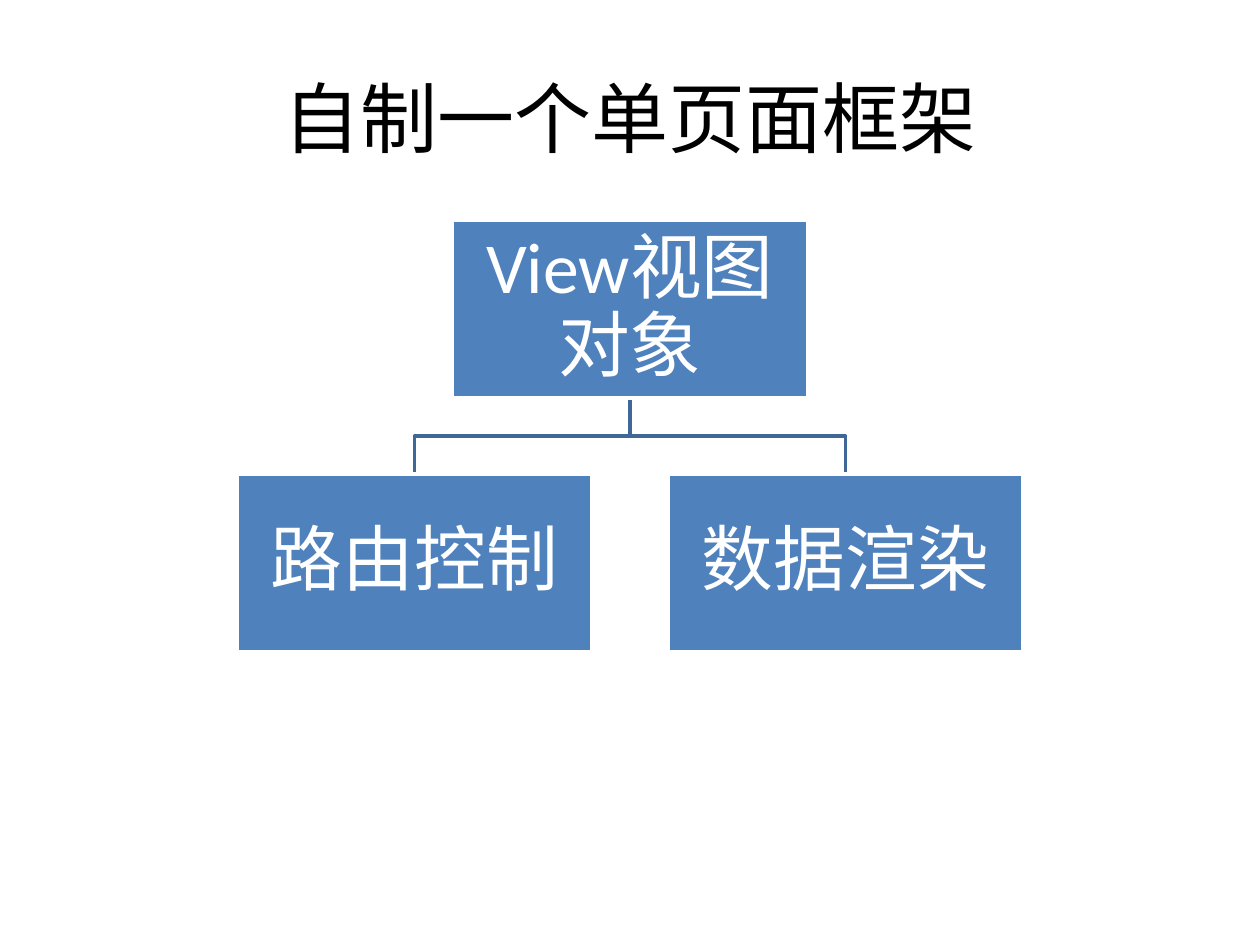
from dataclasses import dataclass

from pptx import Presentation
from pptx.dml.color import RGBColor
from pptx.enum import shapes, text
from pptx.util import Inches, Pt

HUES = {"box": "4F81BD", "link": "3F6797", "light": "FFFFFF", "dark": "000000"}
FONT = "Calibri"
WIDE, HIGH = 2.82, 1.41  # box size
MID, TOP, LOW = 5, 1.75, 3.76  # centre line and the two rows
STEP = 1.71  # offset of each child from the centre line


@dataclass
class Node:
    label: str
    mid: float
    top: float


ROOT = Node("View视图对象", MID, TOP)
KIDS = [Node("路由控制", MID - STEP, LOW), Node("数据渲染", MID + STEP, LOW)]


def hue(name: str) -> RGBColor:
    return RGBColor.from_string(HUES[name])


def style(frame, size: float, name: str) -> None:
    """Centre the text and format its runs."""
    frame.vertical_anchor = text.MSO_ANCHOR.MIDDLE
    for para in frame.paragraphs:
        para.alignment = text.PP_ALIGN.CENTER
        for run in para.runs:
            run.font.name = FONT
            run.font.size = Pt(size)
            run.font.color.rgb = hue(name)


def draw_link(slide, start: Node, end: Node) -> None:
    """Draw an elbow from the foot of one box to the top of another."""
    foot = start.top + HIGH
    bend = (foot + end.top) / 2
    pen = slide.shapes.build_freeform(Inches(start.mid), Inches(foot))
    spots = [(start.mid, bend), (end.mid, bend), (end.mid, end.top)]
    pen.add_line_segments([(Inches(x), Inches(y)) for x, y in spots], close=False)
    link = pen.convert_to_shape()
    link.shadow.inherit = False
    link.fill.background()
    link.line.color.rgb = hue("link")
    link.line.width = Pt(2)


def draw_node(slide, node: Node) -> None:
    box = slide.shapes.add_shape(
        shapes.MSO_SHAPE.RECTANGLE, Inches(node.mid - WIDE / 2), Inches(node.top),
        Inches(WIDE), Inches(HIGH))
    box.shadow.inherit = False
    box.fill.solid()
    box.fill.fore_color.rgb = hue("box")
    box.line.color.rgb = hue("light")
    box.line.width = Pt(2)
    frame = box.text_frame
    frame.word_wrap = True
    frame.margin_left = frame.margin_right = Inches(0.03)
    frame.margin_top = frame.margin_bottom = Inches(0.03)
    frame.text = node.label
    style(frame, 41, "light")
    frame.paragraphs[0].line_spacing = 0.9
    frame.paragraphs[0].space_after = Pt(14)


def main() -> None:
    deck = Presentation()
    deck.slide_width, deck.slide_height = Inches(10), Inches(7.5)
    slide = deck.slides.add_slide(deck.slide_layouts[5])

    # Title
    title = slide.shapes.title
    title.left, title.top = Inches(0.5), Inches(0.3)
    title.width, title.height = Inches(9), Inches(1.25)
    title.text_frame.text = "自制一个单页面框架"
    style(title.text_frame, 44, "dark")

    # Tree: links behind, boxes in front
    for kid in KIDS:
        draw_link(slide, ROOT, kid)
    for node in [ROOT, *KIDS]:
        draw_node(slide, node)

    deck.save("out.pptx")


if __name__ == "__main__":
    main()
